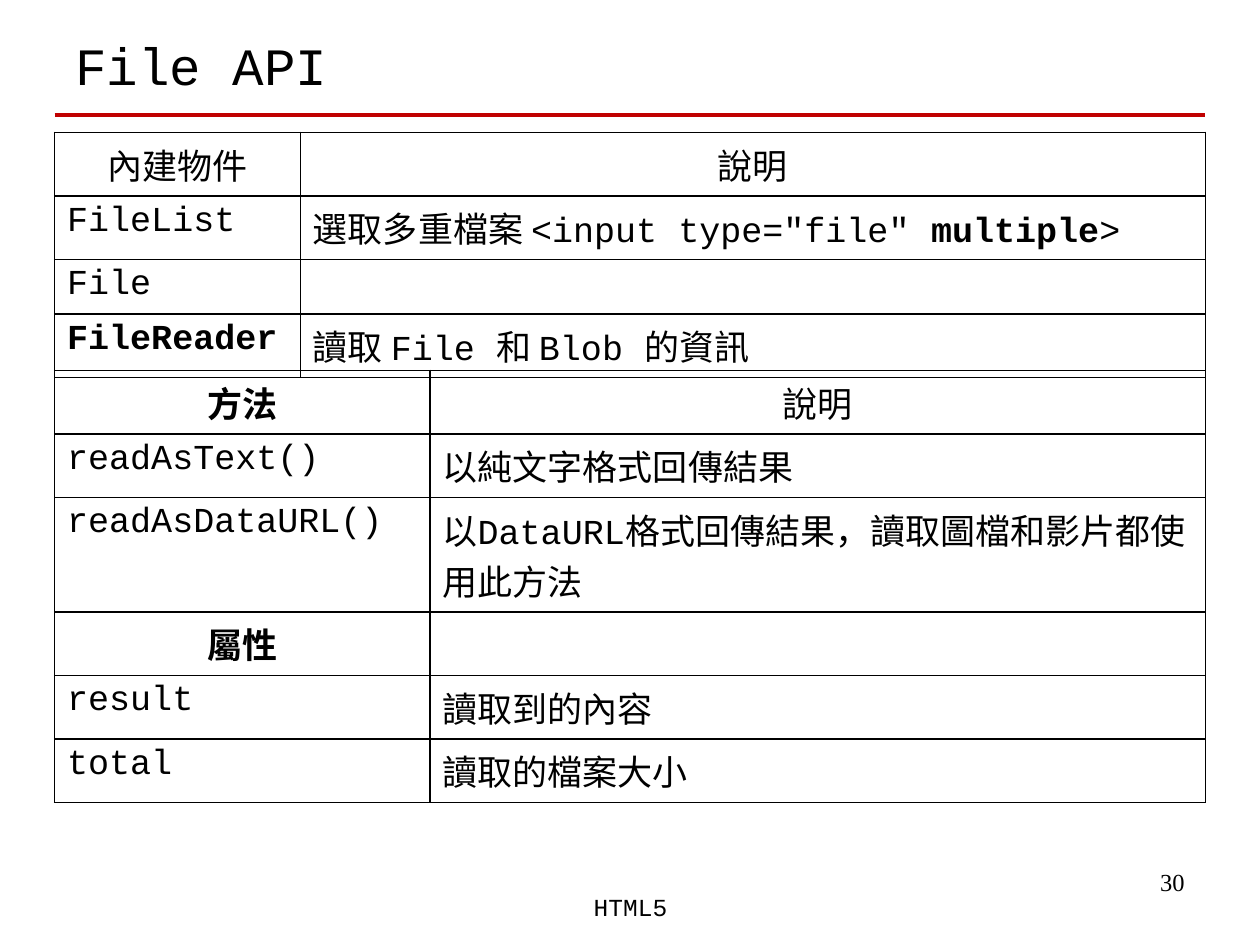
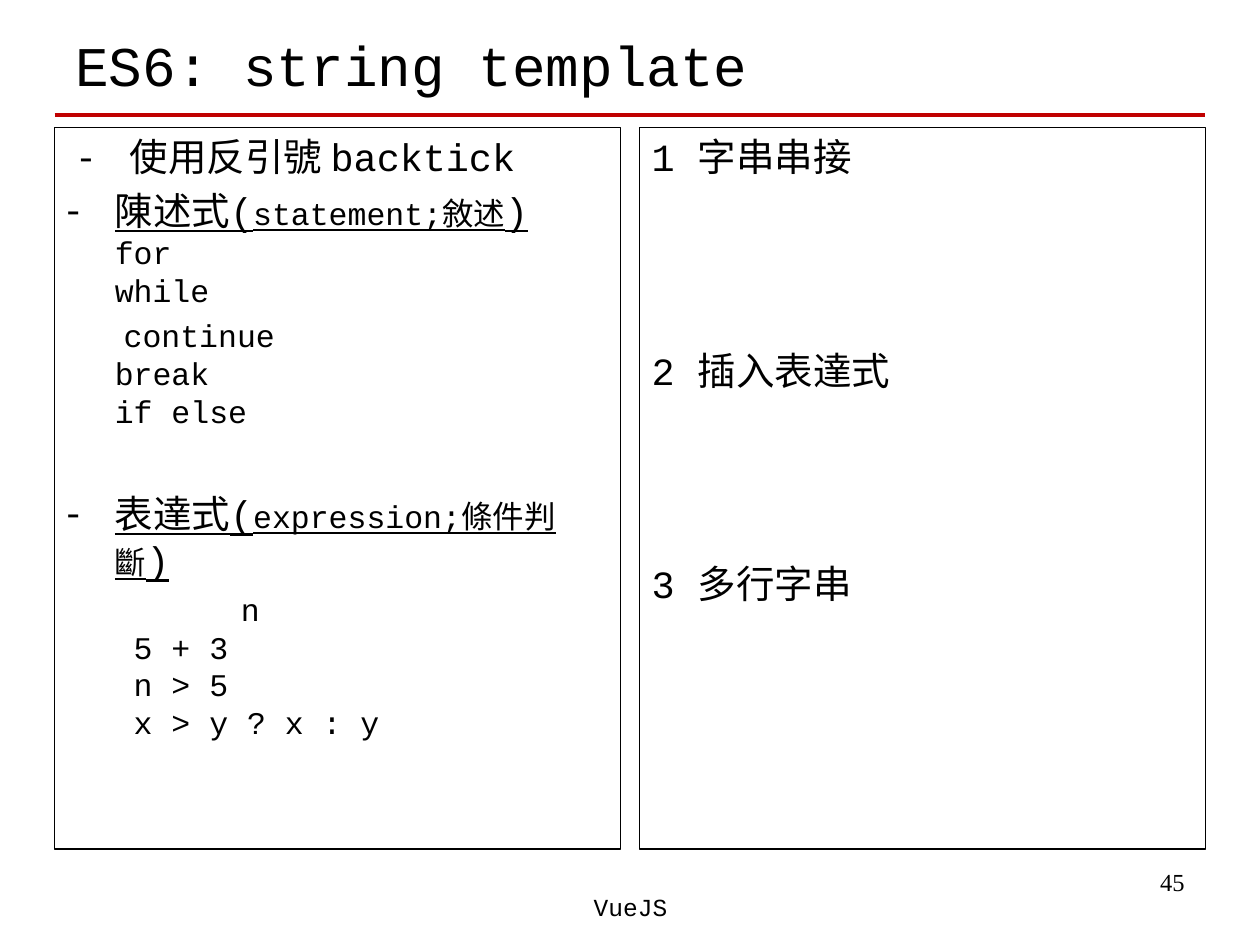
from dataclasses import dataclass

from lxml.etree import SubElement
from pptx import Presentation
from pptx.dml.color import RGBColor
from pptx.enum.shapes import MSO_CONNECTOR, MSO_SHAPE
from pptx.enum.text import MSO_ANCHOR, PP_ALIGN
from pptx.oxml import parse_xml
from pptx.oxml.ns import nsdecls, qn
from pptx.util import Emu, Inches, Pt

COLOURS = {"text": "000000", "rule": "C00000", "border": "000000"}
CODE_FONT = "Courier New"
NUMBER_FONT = "Times New Roman"
SLIDE_WIDTH, SLIDE_HEIGHT = Inches(10), Inches(7.5)
COLUMN, ROW = SLIDE_WIDTH / 100, SLIDE_HEIGHT / 75


@dataclass
class Box:
    left: float
    top: float
    width: float
    height: float

    def place(self):
        return (Emu(round(self.left * COLUMN)), Emu(round(self.top * ROW)),
                Emu(round(self.width * COLUMN)), Emu(round(self.height * ROW)))


TITLE = Box(5, 1.3, 90, 7.6)
BODY = Box(4.33, 10.1, 91.33, 57.3)
RULE_ROW = 9.1
FOOTER = Box(34.2, 70.3, 31.7, 5)
PAGE_NUMBER = Box(71.7, 68.3, 23.3, 5.2)
PANEL_GAP = 1.5
LINE_ROW, SHORT_ROW, DOUBLE_ROW = 5.04, 4.34, 9.08


def colour(name):
    return RGBColor.from_string(COLOURS[name])


def style(run, size, bold=False, underline=False, font=CODE_FONT):
    run.font.name = font
    run.font.size = Pt(size)
    run.font.bold = bold
    run.font.underline = underline
    run.font.color.rgb = colour("text")


def write(paragraph, text, size, **look):
    for index, line in enumerate(text.split("\n")):
        if index:
            paragraph.add_line_break()
        if line:
            run = paragraph.add_run()
            run.text = line
            style(run, size, **look)


def add_label(slide, box, text, size, align=PP_ALIGN.LEFT, anchor=MSO_ANCHOR.TOP, font=CODE_FONT):
    frame = slide.shapes.add_textbox(*box.place()).text_frame
    frame.word_wrap = True
    frame.vertical_anchor = anchor
    frame.text = text
    paragraph = frame.paragraphs[0]
    paragraph.alignment = align
    style(paragraph.runs[0], size, font=font)


def add_rule(slide, box):
    left, top, width, _ = box.place()
    rule = slide.shapes.add_connector(MSO_CONNECTOR.STRAIGHT, left, top, left + width, top)
    rule.line.color.rgb = colour("rule")
    rule.line.width = Pt(2.25)
    SubElement(rule._element.spPr, qn("a:effectLst"))


def add_page(deck, title, title_size, topic, number):
    slide = deck.slides.add_slide(deck.slide_layouts[6])
    add_label(slide, PAGE_NUMBER, number, 14, PP_ALIGN.RIGHT, font=NUMBER_FONT)
    add_label(slide, TITLE, title, title_size, anchor=MSO_ANCHOR.MIDDLE)
    add_rule(slide, Box(BODY.left, RULE_ROW, BODY.width, 0))
    add_label(slide, FOOTER, topic, 14, PP_ALIGN.CENTER)
    return slide


def outline_cell(cell):
    cell.fill.background()
    properties = cell._tc.get_or_add_tcPr()
    for index, side in enumerate("LRTB"):
        properties.insert(index, parse_xml(
            f'<a:ln{side} {nsdecls("a")} w="12700"><a:solidFill>'
            f'<a:srgbClr val="{COLOURS["border"]}"/></a:solidFill></a:ln{side}>'))


def add_reference_table(slide, box, first_column, row_heights, entries, headings, strong):
    table = slide.shapes.add_table(len(entries), 2, *box.place()).table
    table.first_row = table.horz_banding = False
    for column, width in zip(table.columns, (first_column, box.width - first_column)):
        column.width = Emu(round(width * COLUMN))
    for index, (entry, height) in enumerate(zip(entries, row_heights)):
        table.rows[index].height = Emu(round(height * ROW))
        for cell, pieces in zip(table.rows[index].cells, entry):
            outline_cell(cell)
            paragraph = cell.text_frame.paragraphs[0]
            if index in headings:
                paragraph.alignment = PP_ALIGN.CENTER
            for piece in pieces:
                write(paragraph, piece, 20, bold=piece in strong)


def add_bullet(paragraph):
    properties = paragraph._p.get_or_add_pPr()
    bullet_colour = SubElement(properties, qn("a:buClr"))
    SubElement(bullet_colour, qn("a:srgbClr"), val=COLOURS["text"])
    SubElement(properties, qn("a:buFont"), typeface=NUMBER_FONT)
    SubElement(properties, qn("a:buChar"), char="-")


def add_panel(slide, box, items):
    panel = slide.shapes.add_shape(MSO_SHAPE.RECTANGLE, *box.place())
    panel.shadow.inherit = False
    panel.fill.background()
    panel.line.color.rgb = colour("border")
    panel.line.width = Pt(0.75)
    frame = panel.text_frame
    frame.word_wrap = True
    frame.vertical_anchor = MSO_ANCHOR.TOP
    for index, (margin, indent, before, bulleted, pieces) in enumerate(items):
        paragraph = frame.add_paragraph() if index else frame.paragraphs[0]
        paragraph.alignment = PP_ALIGN.LEFT
        properties = paragraph._p.get_or_add_pPr()
        properties.set("marL", str(Inches(margin)))
        properties.set("indent", str(Inches(indent)))
        if bulleted:
            add_bullet(paragraph)
        if index:
            paragraph.space_before = Pt(before)
        for text, size, underline in pieces:
            write(paragraph, text, size, underline=underline)


def build_file_api(deck):
    slide = add_page(deck, "File API", 30, "HTML5", "30")
    methods = [
        (["方法"], ["說明"]),
        (["readAsText()"], ["以純文字格式回傳結果"]),
        (["readAsDataURL()"], ["以DataURL格式回傳結果，讀取圖檔和影片都使用此方法"]),
        (["屬性"], []),
        (["result"], ["讀取到的內容"]),
        (["total"], ["讀取的檔案大小"]),
    ]
    objects = [
        (["內建物件"], ["說明"]),
        (["FileList"], ['選取多重檔案 <input type="file" ', "multiple", ">"]),
        (["File"], []),
        (["FileReader"], ["讀取 File 和 Blob 的資訊"]),
    ]
    method_rows = [LINE_ROW] * 2 + [DOUBLE_ROW] + [LINE_ROW] * 3
    object_rows = [LINE_ROW] * 2 + [SHORT_ROW] + [LINE_ROW]
    add_reference_table(slide, Box(BODY.left, 29.4, BODY.width, sum(method_rows)), 29.8,
                        method_rows, methods, {0, 3}, {"方法", "屬性"})
    add_reference_table(slide, Box(BODY.left, 10.5, BODY.width, sum(object_rows)), 19.5,
                        object_rows, objects, {0}, {"FileReader", "multiple"})


def build_string_template(deck):
    slide = add_page(deck, "ES6: string template", 32, "VueJS", "45")
    hang = 0.38
    terms = [
        (0.5, -0.4, 0, True, [("使用反引號 backtick", 22, False)]),
        (hang, -hang, 4, True, [("陳述式(", 22, True), ("statement;敘述", 18, True),
                                (")", 22, True), ("\nfor\nwhile", 18, False)]),
        (hang, 0.07, 4.4, False, [("continue\nbreak\nif else", 18, False)]),
        (hang, -hang, 34.5, True, [("表達式(", 22, True), ("expression;條件判斷", 18, True),
                                   (")", 22, True)]),
        (0.53, 0.85, 4.4, False, [("n\n5 + 3\nn > 5\nx > y ? x : y", 18, False)]),
    ]
    uses = [(0, 0, 95.4, False, [(f"{number} {use}", 22, False)])
            for number, use in enumerate(("字串串接", "插入表達式", "多行字串"), 1)]
    width = (BODY.width - PANEL_GAP) / 2
    for index, items in enumerate((terms, uses)):
        left = BODY.left + index * (width + PANEL_GAP)
        add_panel(slide, Box(left, BODY.top, width, BODY.height), items)


def main():
    deck = Presentation()
    deck.slide_width, deck.slide_height = SLIDE_WIDTH, SLIDE_HEIGHT
    build_file_api(deck)
    build_string_template(deck)
    deck.save("out.pptx")


if __name__ == "__main__":
    main()
